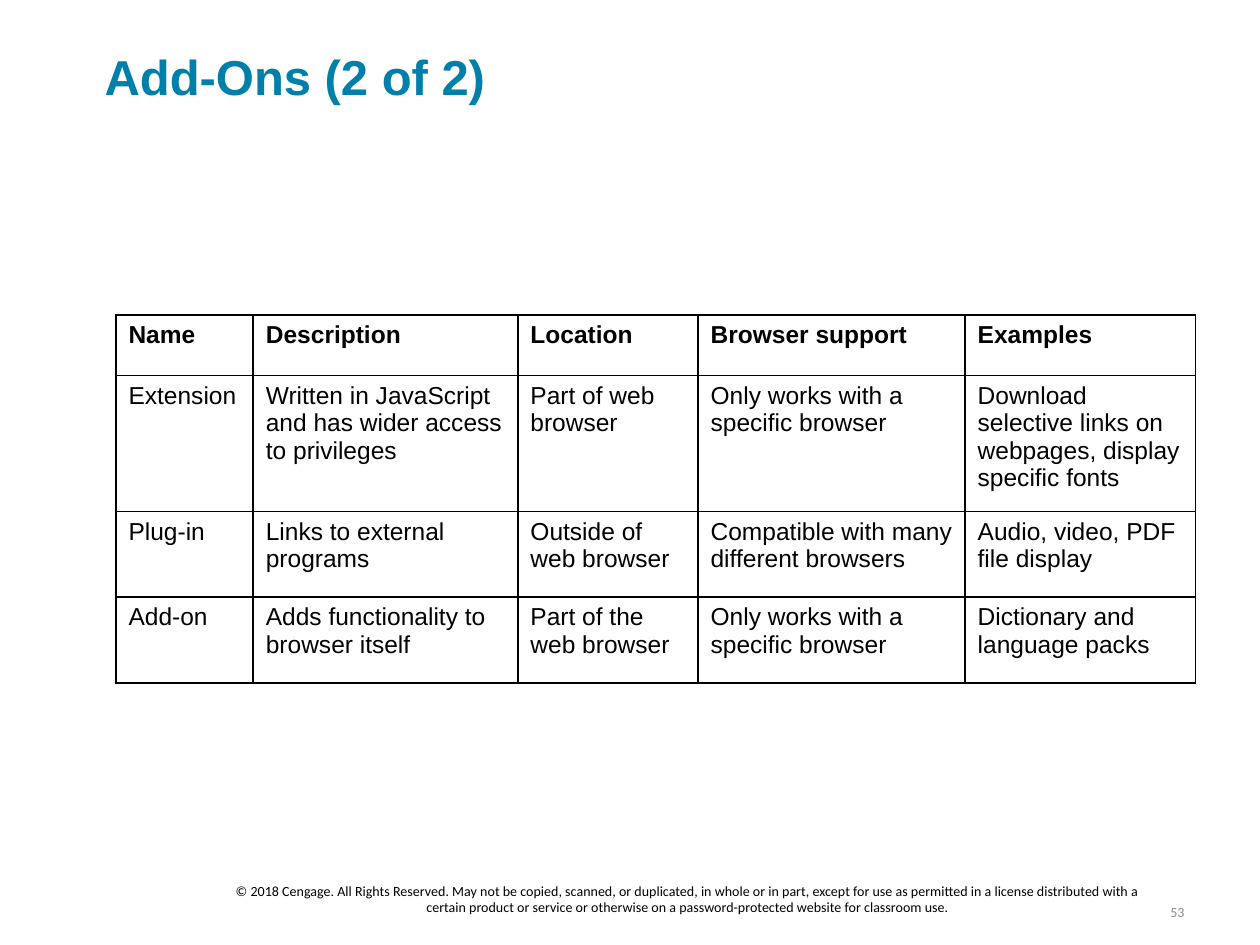
from dataclasses import dataclass

from lxml import etree
from pptx import Presentation
from pptx.dml.color import RGBColor
from pptx.enum.text import MSO_ANCHOR, PP_ALIGN
from pptx.oxml.ns import qn
from pptx.util import Inches, Pt

MIDDLE = MSO_ANCHOR.MIDDLE
LEFT, CENTER, RIGHT = PP_ALIGN.LEFT, PP_ALIGN.CENTER, PP_ALIGN.RIGHT

COLORS = {"title": "0080A9", "text": "000000", "number": "8C8C8C",
          "cell": "FFFFFF", "border": "000000"}


@dataclass
class Label:
    text: str
    box: tuple  # left, top, width, height in inches
    font: str
    size: int
    color: str
    align: PP_ALIGN = LEFT
    bold: bool = False
    wrap: bool = True
    margins: tuple = (0.1, 0.05)  # horizontal, vertical in inches


LABELS = [
    Label("Add-Ons (2 of 2)", (0.83, 0.37, 8.78, 0.47), "Arial", 28, "title",
          bold=True, margins=(0, 0)),
    Label("© 2018 Cengage. All Rights Reserved. May not be copied, scanned, or "
          "duplicated, in whole or in part, except for use as permitted in a "
          "license distributed with a certain product or service or otherwise "
          "on a password-protected website for classroom use.",
          (1.75, 7, 7.42, 0.27), "Calibri", 8, "text", CENTER),
    Label("53", (9.16, 7.12, 0.34, 0.24), "Calibri", 8, "number", RIGHT,
          wrap=False),
]

COLUMN_WIDTHS = [1.09, 2.1, 1.43, 2.12, 1.83]
ROW_HEIGHTS = [0.48, 1.08, 0.68, 0.68]
ADD_ONS = [
    ("Name", "Description", "Location", "Browser support", "Examples"),
    ("Extension", "Written in JavaScript and has wider access to privileges",
     "Part of web browser", "Only works with a specific browser",
     "Download selective links on webpages, display specific fonts"),
    ("Plug-in", "Links to external programs", "Outside of web browser",
     "Compatible with many different browsers",
     "Audio, video, PDF file display"),
    ("Add-on", "Adds functionality to browser itself",
     "Part of the web browser", "Only works with a specific browser",
     "Dictionary and language packs"),
]


def set_font(paragraph, name: str, size: int, color: str, bold: bool) -> None:
    font = paragraph.font
    font.name, font.size, font.bold = name, Pt(size), bold
    font.color.rgb = RGBColor.from_string(COLORS[color])


def add_label(slide, label: Label) -> None:
    frame = slide.shapes.add_textbox(*map(Inches, label.box)).text_frame
    frame.word_wrap = label.wrap
    frame.vertical_anchor = MIDDLE
    horizontal, vertical = map(Inches, label.margins)
    frame.margin_left = frame.margin_right = horizontal
    frame.margin_top = frame.margin_bottom = vertical
    paragraph = frame.paragraphs[0]
    paragraph.text = label.text
    paragraph.alignment = label.align
    set_font(paragraph, label.font, label.size, label.color, label.bold)


def add_borders(cell) -> None:
    properties = cell._tc.get_or_add_tcPr()
    for side in ("a:lnL", "a:lnR", "a:lnT", "a:lnB"):
        line = etree.SubElement(properties, qn(side), w=str(Pt(1)))
        fill = etree.SubElement(line, qn("a:solidFill"))
        etree.SubElement(fill, qn("a:srgbClr"), val=COLORS["border"])


def add_table(slide, left: float, top: float) -> None:
    table = slide.shapes.add_table(
        len(ROW_HEIGHTS), len(COLUMN_WIDTHS), Inches(left), Inches(top),
        Inches(sum(COLUMN_WIDTHS)), Inches(sum(ROW_HEIGHTS))).table
    table.horz_banding = False
    for column, width in zip(table.columns, COLUMN_WIDTHS):
        column.width = Inches(width)
    for row_index, (row, height) in enumerate(zip(table.rows, ROW_HEIGHTS)):
        row.height = Inches(height)
        for cell, text in zip(row.cells, ADD_ONS[row_index]):
            cell.text = text
            set_font(cell.text_frame.paragraphs[0], "Arial", 14, "text",
                     bold=row_index == 0)
            add_borders(cell)
            cell.fill.solid()
            cell.fill.fore_color.rgb = RGBColor.from_string(COLORS["cell"])


def main() -> None:
    presentation = Presentation()
    presentation.slide_width = Inches(10)
    presentation.slide_height = Inches(7.5)
    slide = presentation.slides.add_slide(presentation.slide_layouts[6])

    # Title, copyright line and slide number
    for label in LABELS:
        add_label(slide, label)

    # Comparison of browser add-ons
    add_table(slide, 0.92, 2.5)

    presentation.save("out.pptx")


if __name__ == "__main__":
    main()
